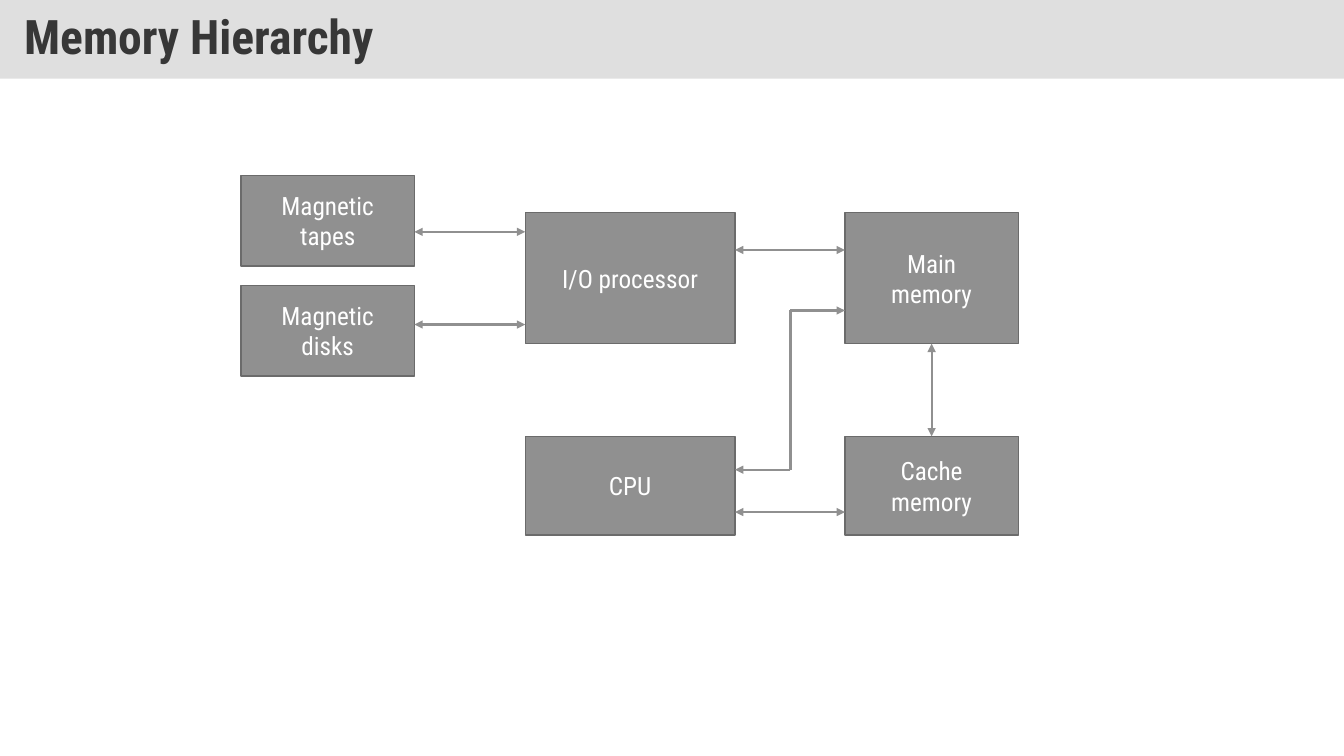
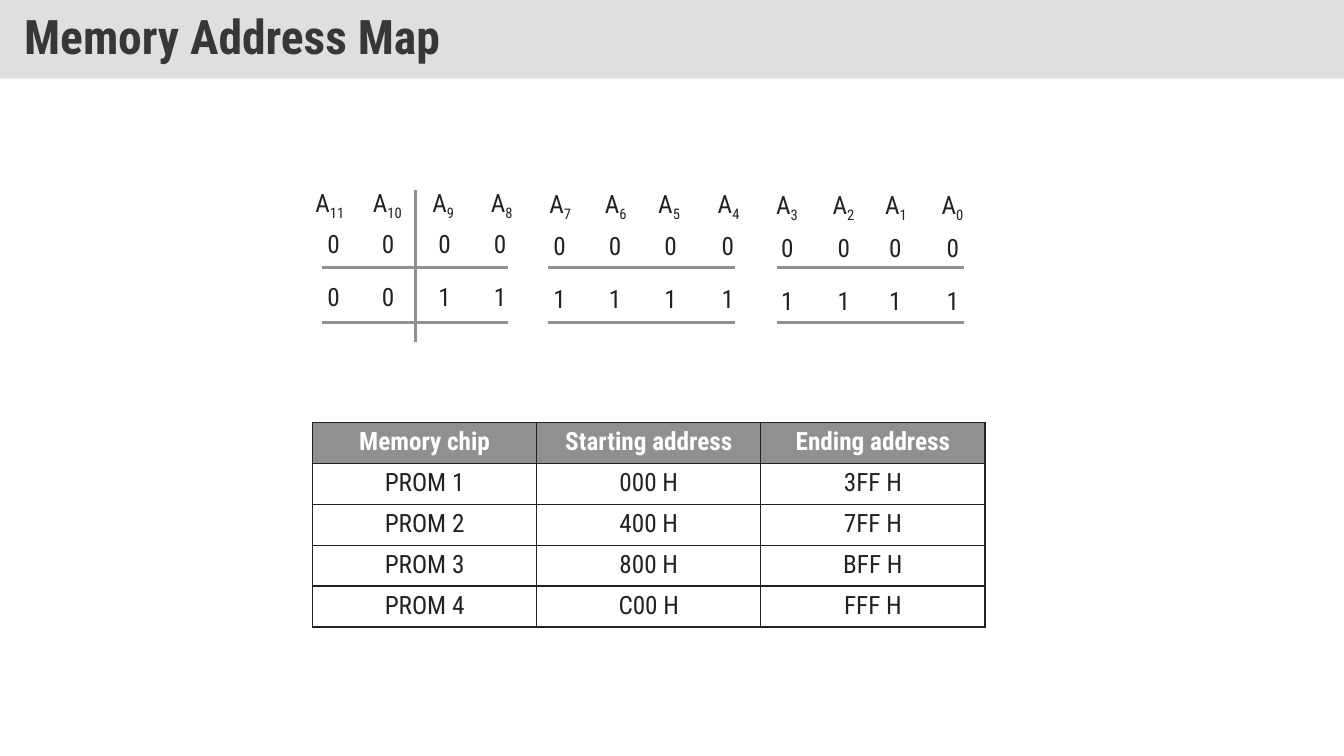
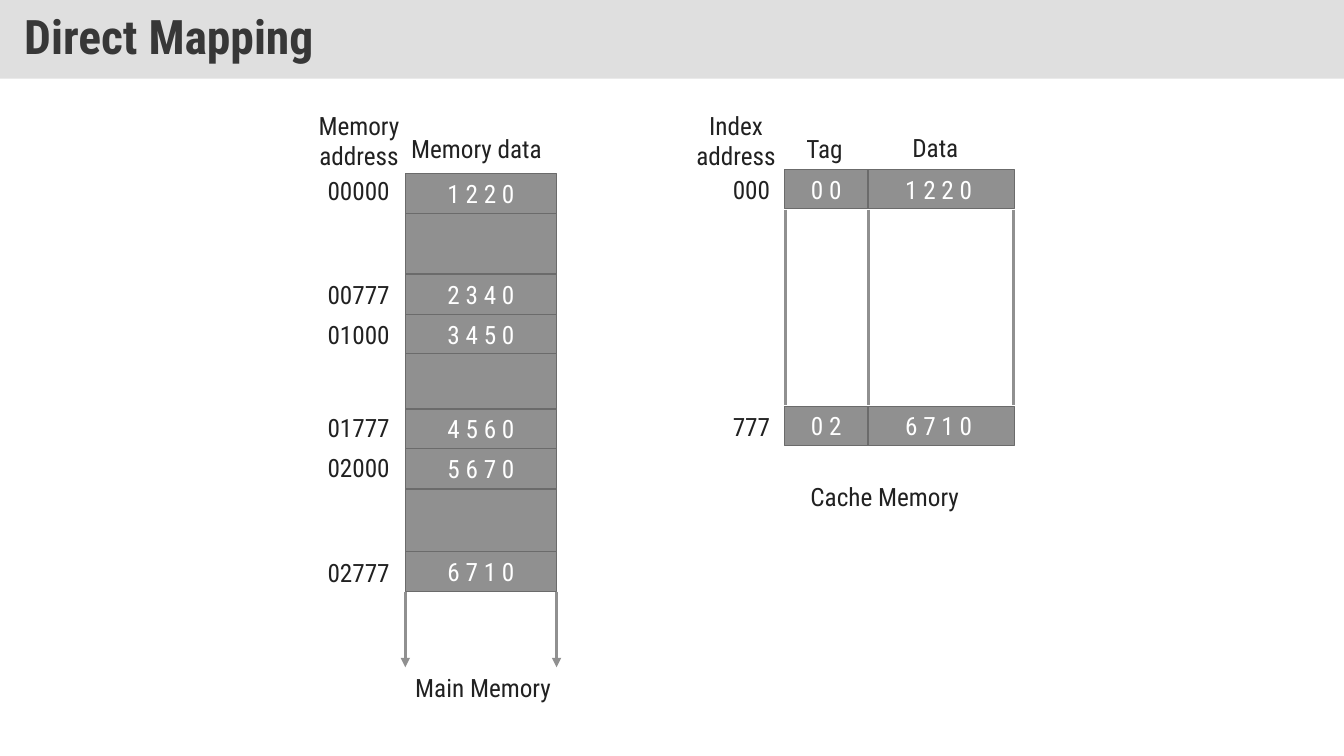
from dataclasses import dataclass
from itertools import pairwise, product
from typing import NamedTuple

from lxml import etree
from pptx import Presentation
from pptx.dml.color import RGBColor
from pptx.enum.shapes import MSO_CONNECTOR, MSO_SHAPE
from pptx.enum.text import MSO_ANCHOR, PP_ALIGN
from pptx.oxml.ns import qn
from pptx.util import Inches, Pt

RECT = MSO_SHAPE.RECTANGLE
LINE = MSO_CONNECTOR.STRAIGHT
LEFT, CENTER = PP_ALIGN.LEFT, PP_ALIGN.CENTER
MIDDLE = MSO_ANCHOR.MIDDLE
TOP, BOTTOM = 0, 2


@dataclass(frozen=True)
class Theme:
    font: str = "Roboto Condensed"
    band: str = "DFDFDF"
    title: str = "373737"
    ink: str = "212121"
    gray: str = "909090"
    edge: str = "6B6B6B"
    white: str = "FFFFFF"
    head: float = 34
    body: float = 18
    thin: float = 1
    wire: float = 1.5
    rule: float = 2.25


THEME = Theme()


class Box(NamedTuple):
    x: float
    y: float
    w: float
    h: float
    text: str = ""


class Label(NamedTuple):
    x: float
    y: float
    w: float
    text: str
    h: float = 0.4
    align: PP_ALIGN = LEFT


class Wire(NamedTuple):
    x1: float
    y1: float
    x2: float
    y2: float
    width: float = THEME.rule
    head: bool = False
    tail: bool = False


def color(code: str) -> RGBColor:
    return RGBColor.from_string(code)


def style(frame, code: str, align: PP_ALIGN = LEFT, size: float = THEME.body,
          bold: bool = False) -> None:
    for para in frame.paragraphs:
        para.alignment = align
        for run in para.runs:
            font = run.font
            font.name, font.size, font.bold = THEME.font, Pt(size), bold
            font.color.rgb = color(code)


def add_rect(slide, box: Box, fill: str):
    shape = slide.shapes.add_shape(RECT, *map(Inches, box[:4]))
    shape.shadow.inherit = False
    shape.fill.solid()
    shape.fill.fore_color.rgb = color(fill)
    frame = shape.text_frame
    frame.word_wrap = True
    frame.vertical_anchor = MIDDLE
    frame.text = box.text
    return shape


def add_box(slide, box: Box):
    shape = add_rect(slide, box, THEME.gray)
    shape.line.color.rgb = color(THEME.edge)
    shape.line.width = Pt(THEME.thin)
    style(shape.text_frame, THEME.white, CENTER)
    return shape


def add_label(slide, label: Label):
    area = map(Inches, (label.x, label.y, label.w, label.h))
    frame = slide.shapes.add_textbox(*area).text_frame
    frame.word_wrap = True
    frame.text = label.text
    style(frame, THEME.ink, label.align)
    return frame


def add_wire(slide, wire: Wire):
    link = slide.shapes.add_connector(LINE, *map(Inches, wire[:4]))
    link.line.color.rgb = color(THEME.gray)
    link.line.width = Pt(wire.width)
    line = link.line._get_or_add_ln()
    for tag, shown in (("a:headEnd", wire.head), ("a:tailEnd", wire.tail)):
        if shown:
            etree.SubElement(line, qn(tag), type="triangle")
    etree.SubElement(link._element.spPr, qn("a:effectLst"))
    return link


def add_page(deck, title: str):
    """Add a blank slide with the title band."""
    slide = deck.slides.add_slide(deck.slide_layouts[6])
    band = add_rect(slide, Box(0, 0, 13.33, 0.78, title), THEME.band)
    band.line.fill.background()
    frame = band.text_frame
    frame.margin_left = frame.margin_right = Inches(0.24)
    frame.margin_top = frame.margin_bottom = Inches(0.12)
    frame.paragraphs[0].line_spacing = 0.9
    style(frame, THEME.title, size=THEME.head, bold=True)
    return slide


def add_frame(cell) -> None:
    """Give a table cell a thin border on all sides."""
    props = cell._tc.get_or_add_tcPr()
    for side in ("a:lnL", "a:lnR", "a:lnT", "a:lnB"):
        line = etree.SubElement(props, qn(side), w=str(Pt(THEME.thin)))
        fill = etree.SubElement(line, qn("a:solidFill"))
        etree.SubElement(fill, qn("a:srgbClr"), val=THEME.ink)


def add_grid(slide, area: Box, rows: list[tuple[str, ...]]) -> None:
    """Add a table whose first row is the header."""
    shape = slide.shapes.add_table(len(rows), len(rows[0]), *map(Inches, area[:4]))
    table = shape.table
    table.first_row = table.horz_banding = False
    for i, row in enumerate(rows):
        for j, text in enumerate(row):
            cell = table.cell(i, j)
            add_frame(cell)
            cell.fill.solid()
            cell.fill.fore_color.rgb = color(THEME.white if i else THEME.gray)
            cell.text_frame.text = text
            style(cell.text_frame, THEME.ink if i else THEME.white, CENTER,
                  bold=i == 0)


def draw_tiers(deck) -> None:
    slide = add_page(deck, "Memory Hierarchy")
    left, mid, right = 2.39, 5.21, 8.38
    upper, lower = 2.11, 4.33
    side, core = 1.72, 2.08
    for box in (
        Box(left, 1.74, side, 0.9, "Magnetic\ntapes"),
        Box(left, 2.83, side, 0.9, "Magnetic\ndisks"),
        Box(mid, upper, core, 1.3, "I/O processor"),
        Box(mid, lower, core, 0.98, "CPU"),
    ):
        add_box(slide, box)
    main = add_box(slide, Box(right, upper, side, 1.3, "Main\nmemory"))
    cache = add_box(slide, Box(right, lower, side, 0.98, "Cache\nmemory"))

    edge = mid + core
    for x1, x2, y in (
        (left + side, mid, 2.3),
        (left + side, mid, 3.22),
        (edge, right, 2.48),
        (edge, right, 5.08),
    ):
        add_wire(slide, Wire(x1, y, x2, y, THEME.wire, True, True))
    link = add_wire(slide, Wire(9.24, 3.41, 9.24, lower, THEME.wire, True, True))
    link.begin_connect(main, BOTTOM)
    link.end_connect(cache, TOP)

    bend, high, low = 7.84, 3.08, 4.66
    add_wire(slide, Wire(bend, low, edge, low, THEME.wire, tail=True))
    add_wire(slide, Wire(bend, high, right, high, THEME.wire, tail=True))
    add_wire(slide, Wire(bend, high, bend, low, THEME.wire))


def draw_map(deck) -> None:
    slide = add_page(deck, "Memory Address Map")
    names = (3.03, 3.6, 4.19, 4.77, 5.35, 5.9, 6.43, 7.02, 7.6, 8.16, 8.68, 9.24)
    bits = (3.15, 3.69, 4.25, 4.8, 5.39, 5.94, 6.49, 7.06, 7.65, 8.21, 8.72, 9.29)
    for i, x in enumerate(names):
        frame = add_label(slide, Label(x, 1.81 + 0.01 * (i // 4), 0.52, "A"))
        run = frame.paragraphs[0].add_run()
        run.text = str(len(names) - 1 - i)
        style(frame, THEME.ink)
        run.font._element.set("baseline", "-25000")
    for y, word in ((2.22, "000000000000"), (2.74, "001111111111")):
        for i, (x, bit) in enumerate(zip(bits, word)):
            add_label(slide, Label(x, y + 0.02 * (i // 4), 0.3, bit))

    add_wire(slide, Wire(4.12, 1.89, 4.12, 3.39))
    for y, x in product((2.65, 3.2), (3.19, 5.44, 7.71)):
        add_wire(slide, Wire(x, y, x + 1.85, y))

    add_grid(slide, Box(3.1, 4.19, 6.67, 2.03), [
        ("Memory chip", "Starting address", "Ending address"),
        ("PROM 1", "000 H", "3FF H"),
        ("PROM 2", "400 H", "7FF H"),
        ("PROM 3", "800 H", "BFF H"),
        ("PROM 4", "C00 H", "FFF H"),
    ])


def draw_direct(deck) -> None:
    slide = add_page(deck, "Direct Mapping")
    left, wide = 4.02, 1.5
    tops = (1.72, 2.12, 2.72, 3.12, 3.51, 4.06, 4.45, 4.85, 5.47, 5.87)
    words = ("1 2 2 0", "", "2 3 4 0", "3 4 5 0", "", "4 5 6 0", "5 6 7 0", "",
             "6 7 1 0")
    for (y, end), word in zip(pairwise(tops), words):
        add_box(slide, Box(left, y, wide, end - y, word))
    for x in (left, left + wide):
        add_wire(slide, Wire(x, tops[-1], x, 6.62, tail=True))
    for y, text in ((1.69, "00000"), (2.72, "00777"), (3.12, "01000"),
                    (4.04, "01777"), (4.44, "02000"), (5.48, "02777")):
        add_label(slide, Label(3.15, y, 0.88, text))

    for y, tag, word, text in ((1.68, "0 0", "1 2 2 0", "000"),
                               (4.03, "0 2", "6 7 1 0", "777")):
        add_box(slide, Box(8.56, y, wide, 0.39, word))
        add_box(slide, Box(7.78, y, 0.83, 0.39, tag))
        add_label(slide, Label(7.17, y, 0.6, text))
    for x in (7.79, 8.61, 10.05):
        add_wire(slide, Wire(x, 2.08, x, 4.02))

    for label in (
        Label(2.99, 1.04, 1.14, "Memory address", 0.71, CENTER),
        Label(3.98, 1.27, 1.66, "Memory data"),
        Label(left, 6.62, 1.77, "Main Memory"),
        Label(6.73, 1.04, 1.14, "Index address", 0.71, CENTER),
        Label(7.9, 1.27, 0.59, "Tag"),
        Label(8.95, 1.26, 0.72, "Data"),
        Label(7.94, 4.73, 1.82, "Cache Memory"),
    ):
        add_label(slide, label)


def main() -> None:
    deck = Presentation()
    deck.slide_width, deck.slide_height = Inches(13.33), Inches(7.5)
    for draw in (draw_tiers, draw_map, draw_direct):
        draw(deck)
    deck.save("out.pptx")


if __name__ == "__main__":
    main()
